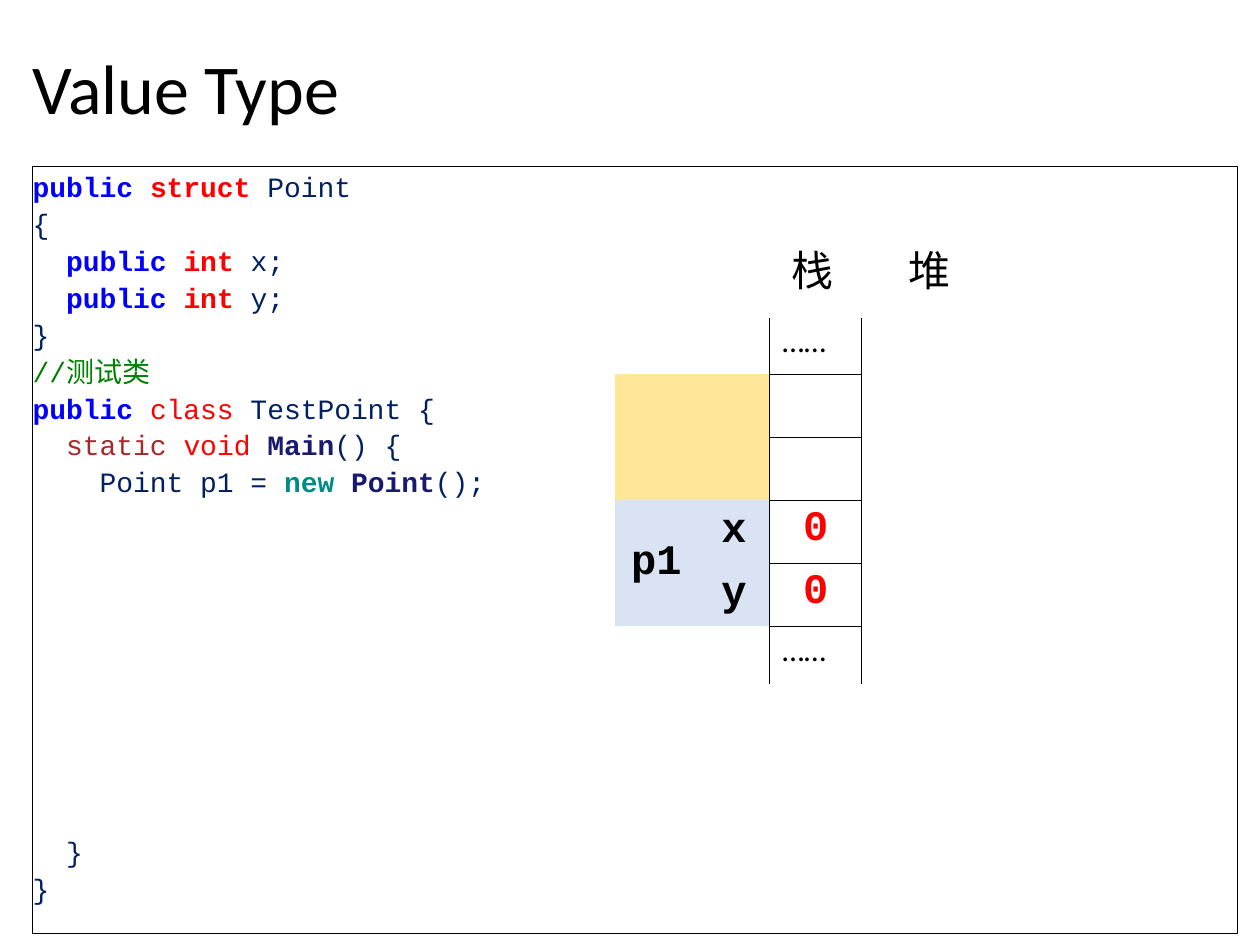
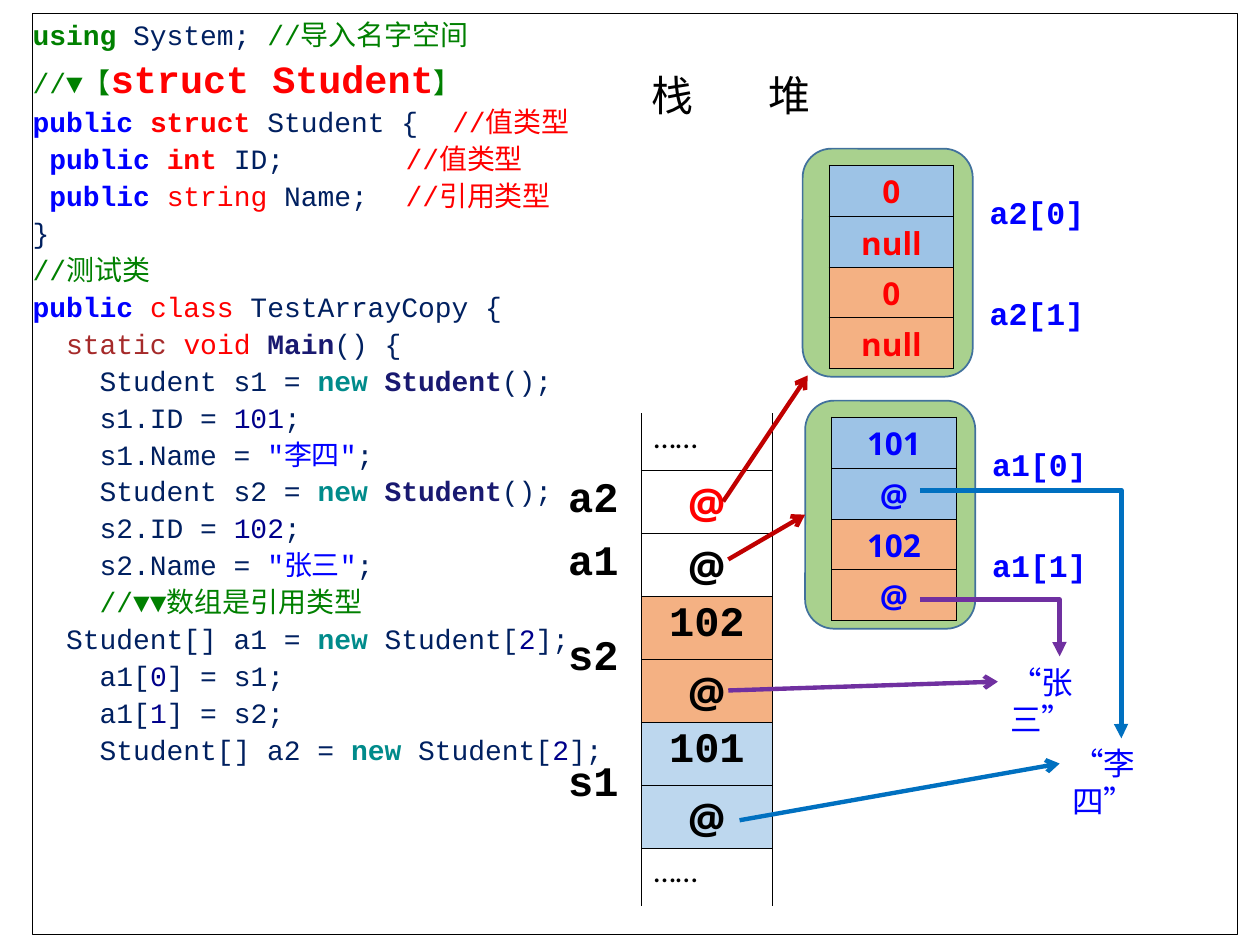
from dataclasses import dataclass, field

from lxml.etree import SubElement
from pptx import Presentation
from pptx.dml.color import RGBColor
from pptx.enum.shapes import MSO_CONNECTOR, MSO_SHAPE
from pptx.enum.text import MSO_ANCHOR, PP_ALIGN
from pptx.oxml.ns import qn
from pptx.util import Inches, Pt


@dataclass(frozen=True)
class Theme:
    """Colours, fonts and type sizes shared by the slides."""
    black: str = "000000"
    red: str = "FF0000"
    blue: str = "0000FF"
    stack_blue: str = "BDD7EE"
    heap_blue: str = "9DC3E6"
    orange: str = "F4B183"
    yellow: str = "FFE699"
    pale: str = "DAE3F3"
    green: str = "A9D18E"
    green_edge: str = "41719C"
    arrow_red: str = "C00000"
    arrow_blue: str = "0070C0"
    arrow_purple: str = "7030A0"
    body: str = "Calibri"
    mono: str = "Courier New"
    sans: str = "Open Sans"
    cjk: str = "Noto Sans CJK SC"
    title_size: int = 40
    large: int = 24
    heading: int = 22
    normal: int = 18
    code_size: int = 16
    plain_table: str = "{2D5ABB26-0587-4C30-8999-92F81FD0307C}"
    code: dict = field(default_factory=lambda: {
        "key": ("0000FF", True), "type": ("FF0000", True), "red": ("FF0000", False),
        "big": ("FF0000", True), "text": ("002060", False), "note": ("008000", False),
        "using": ("008000", True), "static": ("A52A2A", False), "name": ("191970", True),
        "new": ("008B8B", True), "num": ("00008B", False), "str": ("0000FF", False),
    })


T = Theme()

POINT_CODE = [
    "key:public |type:struct|text: Point",
    "text:{",
    "key:  public |type:int|text: x;",
    "key:  public |type:int|text: y;",
    "text:}",
    "note://测试类",
    "key:public |red:class|text: TestPoint {",
    "static:  static |red:void |name:Main|text:() {",
    "text:    Point p1 = |new:new |name:Point|text:();",
    "text:  }",
    "text:}",
]

STUDENT_CODE = [
    "using:using|text: System; |note://导入名字空间",
    "note://▼【|big:struct Student|note:】",
    "key:public |type:struct|text: Student {\t|red://值类型",
    "key: public |type:int|text: ID;\t|red://值类型",
    "key: public |red:string|text: Name;\t|red://引用类型",
    "text:}",
    "note://测试类",
    "key:public |red:class|text: TestArrayCopy {",
    "static:  static |red:void |name:Main|text:() {",
    "text:    Student s1 = |new:new |name:Student|text:();",
    "text:    s1.ID = |num:101|text:;",
    "text:    s1.Name = |str:\"李四\"|text:;",
    "text:    Student s2 = |new:new |name:Student|text:();",
    "text:    s2.ID = |num:102|text:;",
    "text:    s2.Name = |str:\"张三\"|text:;",
    "note:    //▼▼数组是引用类型",
    "text:  Student[] a1 = |new:new|text: Student[|num:2|text:];",
    "text:    a1[|num:0|text:] = s1;",
    "text:    a1[|num:1|text:] = s2;",
    "text:    Student[] a2 = |new:new|text: Student[|num:2|text:];",
]


def rgb(color):
    """Turn a hex string into a colour."""
    return RGBColor.from_string(color)


def add_run(p, text, font, size, color, bold=False):
    """Add one formatted run, with a font for Chinese characters."""
    r = p.add_run()
    r.text = text
    r.font.name, r.font.size, r.font.bold = font, Pt(size), bold
    r.font.color.rgb = rgb(color)
    SubElement(r.font._element, qn("a:ea"), typeface=T.cjk)


def add_tabs(p, stops):
    """Set left tab stops, given in inches."""
    tabs = SubElement(p._p.get_or_add_pPr(), qn("a:tabLst"))
    for stop in stops:
        SubElement(tabs, qn("a:tab"), pos=str(Inches(stop)), algn="l")


def text_box(s, left, top, width, height, text, font, size, color=T.black, tabs=()):
    """Add a one-paragraph wrapping text box."""
    sp = s.shapes.add_textbox(Inches(left), Inches(top), Inches(width), Inches(height))
    sp.text_frame.word_wrap = True
    p = sp.text_frame.paragraphs[0]
    if tabs:
        add_tabs(p, tabs)
    add_run(p, text, font, size, color)
    return sp


def title(s, text):
    """Add the slide title."""
    sp = text_box(s, 0.16, 0.13, 9.74, 1.2, text, T.body, T.title_size)
    sp.text_frame.vertical_anchor = MSO_ANCHOR.MIDDLE
    sp.text_frame.paragraphs[0].line_spacing = 0.9


def memory_heading(s, left, top):
    """Add the headings of the stack and heap areas."""
    text_box(s, left, top, 3.03, 0.5, "栈\t堆", T.cjk, T.large, tabs=[0.93])


def code_panel(s, top, height, lines, gaps=None):
    """Add the framed code listing; gaps maps line numbers to points before."""
    sp = s.shapes.add_shape(MSO_SHAPE.RECTANGLE, Inches(0.26), Inches(top),
                            Inches(9.56), Inches(height))
    sp.shadow.inherit = False
    sp.fill.background()
    sp.line.color.rgb, sp.line.width = rgb(T.black), Pt(0.75)
    tf = sp.text_frame
    tf.word_wrap = True
    tf.vertical_anchor = MSO_ANCHOR.TOP
    tf.margin_left = tf.margin_top = tf.margin_right = tf.margin_bottom = 0
    for i, line in enumerate(lines):
        p = tf.add_paragraph() if i else tf.paragraphs[0]
        p.alignment, p.line_spacing = PP_ALIGN.LEFT, 1.1
        if gaps and i in gaps:
            p.space_before = Pt(gaps[i])
        if "\t" in line:
            add_tabs(p, [2.96, 3.33])
        for token in line.split("|"):
            style, _, text = token.partition(":")
            color, bold = T.code[style]
            size = T.heading if style == "big" else T.code_size
            add_run(p, text, T.mono, size, color, bold)


def borders(cell, sides):
    """Draw thin lines on the given sides (l, r, t, b) of a cell."""
    tcPr = cell._tc.get_or_add_tcPr()
    lines = [side for side in "lrtb" if side in sides]
    for i, side in enumerate(lines):
        ln = tcPr.makeelement(qn(f"a:ln{side.upper()}"), {"w": str(Pt(0.45))})
        fill = SubElement(ln, qn("a:solidFill"))
        SubElement(fill, qn("a:srgbClr"), val=T.black)
        tcPr.insert(i, ln)


def set_cell(cell, text, font, size, color=T.black, bold=True, fill=None,
             sides="", center=True, middle=False):
    """Fill in one table cell."""
    if fill:
        cell.fill.solid()
        cell.fill.fore_color.rgb = rgb(fill)
    else:
        cell.fill.background()
    borders(cell, sides)
    cell.vertical_anchor = MSO_ANCHOR.MIDDLE if middle else MSO_ANCHOR.TOP
    cell.margin_top = Inches(0.04)
    cell.margin_bottom = cell.margin_top if middle else 0
    p = cell.text_frame.paragraphs[0]
    p.alignment = PP_ALIGN.CENTER if center else PP_ALIGN.LEFT
    if text:
        add_run(p, text, font, size, color, bold)


def plain_table(s, left, top, widths, heights):
    """Add an unstyled table."""
    frame = s.shapes.add_table(len(heights), len(widths), Inches(left), Inches(top),
                               Inches(sum(widths)), Inches(sum(heights)))
    table = frame.table
    table.first_row = table.horz_banding = False
    table._tbl.tblPr.find(qn("a:tableStyleId")).text = T.plain_table
    for col, width in zip(table.columns, widths):
        col.width = Inches(width)
    for row, height in zip(table.rows, heights):
        row.height = Inches(height)
    return table


def stack(s, left, top, widths, values, labels):
    """Add the stack; labels are (row, column, rows, columns, text, fill)."""
    heights = [0.45] + [0.5] * len(values) + [0.46]
    table = plain_table(s, left, top, widths, heights)
    col, last = len(widths) - 1, len(heights) - 1
    for row, sides in ((0, "lrb"), (last, "lrt")):
        set_cell(table.cell(row, col), "……", T.body, T.normal, bold=False,
                 sides=sides, center=False)
    for row, (text, color, fill) in enumerate(values, 1):
        font = T.sans if text == "@" else T.mono
        set_cell(table.cell(row, col), text, font, T.large, color, fill=fill, sides="lrtb")
    for row, column, rows, columns, text, fill in labels:
        cell = table.cell(row, column)
        if rows * columns > 1:
            cell.merge(table.cell(row + rows - 1, column + columns - 1))
        set_cell(cell, text, T.mono, T.large, fill=fill, middle=True)


def heap_array(s, left, top, name, values, color):
    """Add an array of two students on the heap and return its frame."""
    sp = s.shapes.add_shape(MSO_SHAPE.ROUNDED_RECTANGLE, Inches(left), Inches(top),
                            Inches(1.35), Inches(1.81))
    sp.shadow.inherit = False
    sp.adjustments[0] = 0.17
    sp.fill.solid()
    sp.fill.fore_color.rgb = rgb(T.green)
    sp.line.color.rgb, sp.line.width = rgb(T.green_edge), Pt(1)
    table = plain_table(s, left + 0.21, top + 0.13, [0.99, 1.32], [0.41, 0.4, 0.4, 0.4])
    for row, text in enumerate(values):
        fill = T.heap_blue if row < 2 else T.orange
        set_cell(table.cell(row, 0), text, T.sans, T.normal, color, fill=fill, sides="lrtb")
    for i in range(2):
        cell = table.cell(2 * i, 1)
        cell.merge(table.cell(2 * i + 1, 1))
        set_cell(cell, f"{name}[{i}]", T.mono, T.normal, T.blue, sides="l", middle=True)
    return sp


def arrow(s, start, end, color, elbow=False, target=None):
    """Add an arrow, joined to the left side of a target when one is given."""
    kind = MSO_CONNECTOR.ELBOW if elbow else MSO_CONNECTOR.STRAIGHT
    sp = s.shapes.add_connector(kind, *(Inches(v) for v in start + end))
    sp.line.color.rgb, sp.line.width = rgb(color), Pt(2.75 if elbow else 2.5)
    SubElement(sp.line._get_or_add_ln(), qn("a:tailEnd"), type="triangle" if elbow else "arrow")
    spPr = sp._element.spPr
    SubElement(spPr, qn("a:effectLst"))
    if elbow:
        guides = spPr.find(qn("a:prstGeom")).get_or_add_avLst()
        SubElement(guides, qn("a:gd"), name="adj1", fmla="val 99900")
    if target is not None:
        sp.end_connect(target, 1)


def value_type_slide(prs):
    """Build the slide about a struct on the stack."""
    s = prs.slides.add_slide(prs.slide_layouts[6])
    title(s, "Value Type")
    code_panel(s, 1.32, 6.09, POINT_CODE, gaps={9: 190})
    memory_heading(s, 6.18, 1.89)
    empty, zero = ("", T.black, None), ("0", T.red, None)
    stack(s, 4.88, 2.52, [0.66, 0.57, 0.73], [empty, empty, zero, zero], [
        (0, 0, 1, 2, "", None), (5, 0, 1, 2, "", None),
        (1, 0, 2, 1, "", T.yellow), (1, 1, 1, 1, "", T.yellow), (2, 1, 1, 1, "", T.yellow),
        (3, 0, 2, 1, "p1", T.pale), (3, 1, 1, 1, "x", T.pale), (4, 1, 1, 1, "y", T.pale)])


def array_slide(prs):
    """Build the slide about arrays of structs."""
    s = prs.slides.add_slide(prs.slide_layouts[6])
    code_panel(s, 0.11, 7.31, STUDENT_CODE)
    memory_heading(s, 5.07, 0.5)
    stack(s, 4.33, 3.28, [0.76, 1.04], [
        ("@", T.red, None), ("@", T.black, None),
        ("102", T.black, T.orange), ("@", T.black, T.orange),
        ("101", T.black, T.stack_blue), ("@", T.black, T.stack_blue)], [
        (1, 0, 1, 1, "a2", None), (2, 0, 1, 1, "a1", None),
        (3, 0, 2, 1, "s2", None), (5, 0, 2, 1, "s1", None)])
    li = text_box(s, 8.41, 5.86, 0.98, 0.4, "“李四”", T.body, T.normal, T.blue)
    zhang = text_box(s, 7.92, 5.21, 0.98, 0.4, "“张三”", T.body, T.normal, T.blue)
    a1 = heap_array(s, 6.39, 3.18, "a1", ["101", "@", "102", "@"], T.blue)
    heap_array(s, 6.37, 1.18, "a2", ["0", "null", "0", "null"], T.red)
    arrow(s, (5.87, 6.51), (8.41, 6.06), T.arrow_blue, target=li)
    arrow(s, (5.78, 5.48), (7.92, 5.41), T.arrow_purple, target=zhang)
    arrow(s, (7.3, 3.89), (8.9, 5.86), T.arrow_blue, elbow=True)
    arrow(s, (7.3, 4.76), (8.41, 5.21), T.arrow_purple, elbow=True)
    arrow(s, (5.78, 4.44), (6.39, 4.08), T.arrow_red, target=a1)
    arrow(s, (5.74, 3.98), (6.41, 2.98), T.arrow_red)


def main():
    """Build and save the presentation."""
    prs = Presentation()
    prs.slide_width, prs.slide_height = Inches(10), Inches(7.5)
    value_type_slide(prs)
    array_slide(prs)
    prs.save("out.pptx")


if __name__ == "__main__":
    main()
